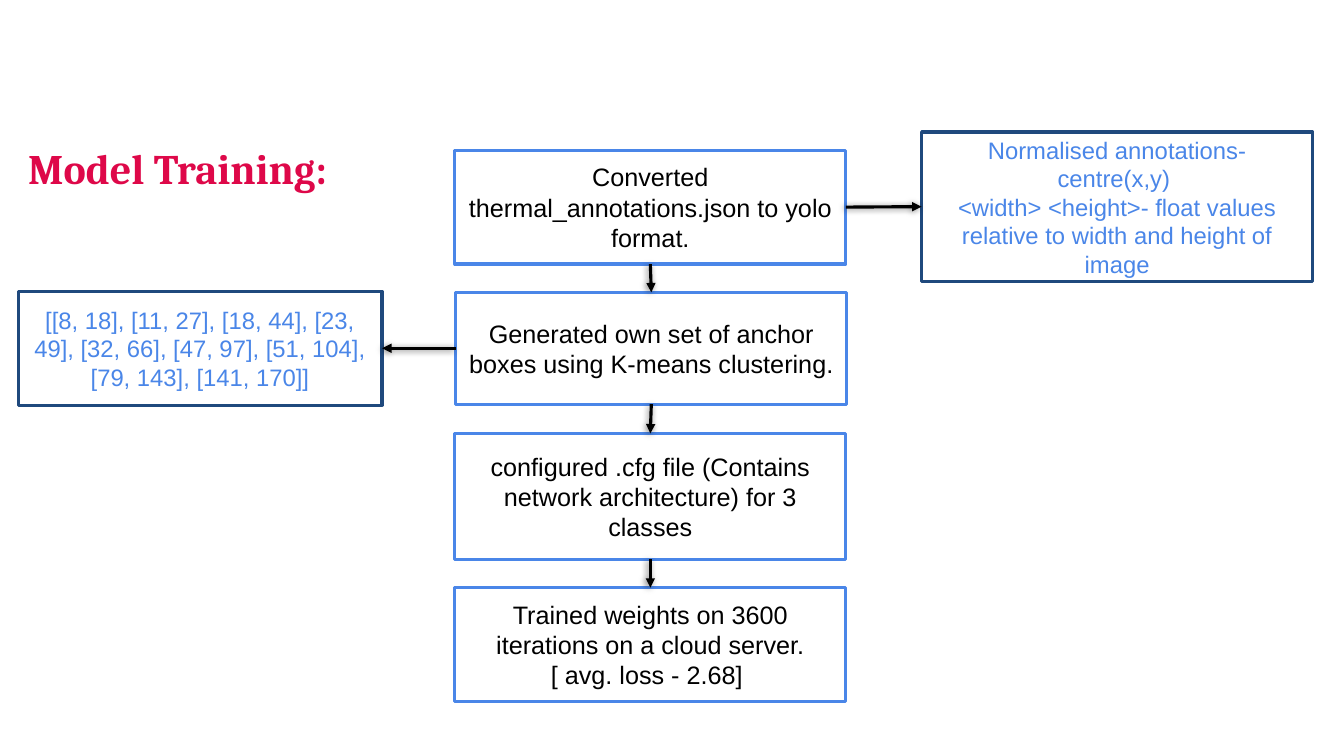
from lxml import etree
from pptx import Presentation
from pptx.dml.color import RGBColor
from pptx.enum import shapes, text
from pptx.oxml import ns
from pptx.util import Inches, Pt

BLACK, BLUE, NAVY, CRIMSON = "000000", "4A86E8", "1F497D", "DE0849"
TOP, LEFT, BOTTOM, RIGHT = range(4)


def color(hex_value):
    return RGBColor.from_string(hex_value)


def write(shape, *lines, size=18, font="Arial", ink=BLACK, bold=False,
          align=text.PP_ALIGN.CENTER, anchor=text.MSO_ANCHOR.MIDDLE):
    frame = shape.text_frame
    frame.text = "\n".join(lines)
    frame.word_wrap = True
    frame.auto_size = text.MSO_AUTO_SIZE.NONE
    frame.vertical_anchor = anchor
    frame.margin_left = frame.margin_right = Inches(0.1)
    frame.margin_top = frame.margin_bottom = Inches(0.1)
    for paragraph in frame.paragraphs:
        paragraph.alignment = align
        for run in paragraph.runs:
            run.font.size = Pt(size)
            run.font.name = font
            run.font.bold = bold
            run.font.color.rgb = color(ink)


def add_box(slide, place, *lines, border=BLUE, **style):
    box = slide.shapes.add_shape(shapes.MSO_SHAPE.RECTANGLE,
                                 *[Inches(v) for v in place])
    box.shadow.inherit = False
    box.fill.background()
    box.line.color.rgb = color(border)
    box.line.width = Pt(2.25)
    write(box, *lines, **style)
    return box


def add_note(slide, place, *lines):
    return add_box(slide, place, *lines, border=NAVY, size=17, ink=BLUE)


def add_arrow(slide, start, start_side, end, end_side):
    arrow = slide.shapes.add_connector(shapes.MSO_CONNECTOR.STRAIGHT, 0, 0, 0, 0)
    arrow.begin_connect(start, start_side)
    arrow.end_connect(end, end_side)
    arrow.line.color.rgb = color(BLACK)
    arrow.line.width = Pt(2.25)
    # Arrowhead and soft shadow
    properties = arrow._element.spPr
    etree.SubElement(properties.find(ns.qn("a:ln")), ns.qn("a:tailEnd"), type="triangle")
    effects = etree.SubElement(properties, ns.qn("a:effectLst"))
    shadow = etree.SubElement(effects, ns.qn("a:outerShdw"), blurRad=str(Pt(4.5)),
                              dist=str(Pt(1.5)), dir=str(141 * 60000), rotWithShape="0")
    tint = etree.SubElement(shadow, ns.qn("a:srgbClr"), val=BLACK)
    etree.SubElement(tint, ns.qn("a:alpha"), val="50000")


def add_title(slide, place, heading):
    title = slide.shapes.title
    title.left, title.top, title.width, title.height = [Inches(v) for v in place]
    write(title, heading, size=30, font="Cambria", ink=CRIMSON, bold=True,
          align=text.PP_ALIGN.LEFT, anchor=text.MSO_ANCHOR.TOP)


def main():
    deck = Presentation()
    deck.slide_width, deck.slide_height = Inches(13.33), Inches(7.5)
    slide = deck.slides.add_slide(deck.slide_layouts[5])
    add_title(slide, (0.18, 1.31, 3.88, 0.74), "Model Training:")

    # Training steps, top to bottom
    convert = add_box(slide, (4.51, 1.49, 3.88, 1.13),
                      "Converted thermal_annotations.json to yolo format.")
    anchors = add_box(slide, (4.52, 2.9, 3.88, 1.11),
                      "Generated own set of anchor boxes using K-means clustering.")
    configure = add_box(slide, (4.51, 4.3, 3.88, 1.25),
                        "configured .cfg file (Contains network architecture) for 3 classes")
    train = add_box(slide, (4.51, 5.83, 3.88, 1.13),
                    "Trained weights on 3600 iterations on a cloud server.",
                    "[ avg. loss - 2.68] ")

    # Side notes
    label_format = add_note(slide, (9.14, 1.31, 3.88, 1.48),
                            "Normalised annotations- centre(x,y) ",
                            "<width> <height>- float values relative to width and height of image")
    anchor_sizes = add_note(slide, (0.18, 2.89, 3.61, 1.13),
                            "[[8, 18], [11, 27], [18, 44], [23, 49], [32, 66], "
                            "[47, 97], [51, 104], [79, 143], [141, 170]]")

    # Flow between steps and out to the notes
    steps = [convert, anchors, configure, train]
    for step, following in zip(steps, steps[1:]):
        add_arrow(slide, step, BOTTOM, following, TOP)
    add_arrow(slide, convert, RIGHT, label_format, LEFT)
    add_arrow(slide, anchors, LEFT, anchor_sizes, RIGHT)

    deck.save("out.pptx")


if __name__ == "__main__":
    main()
